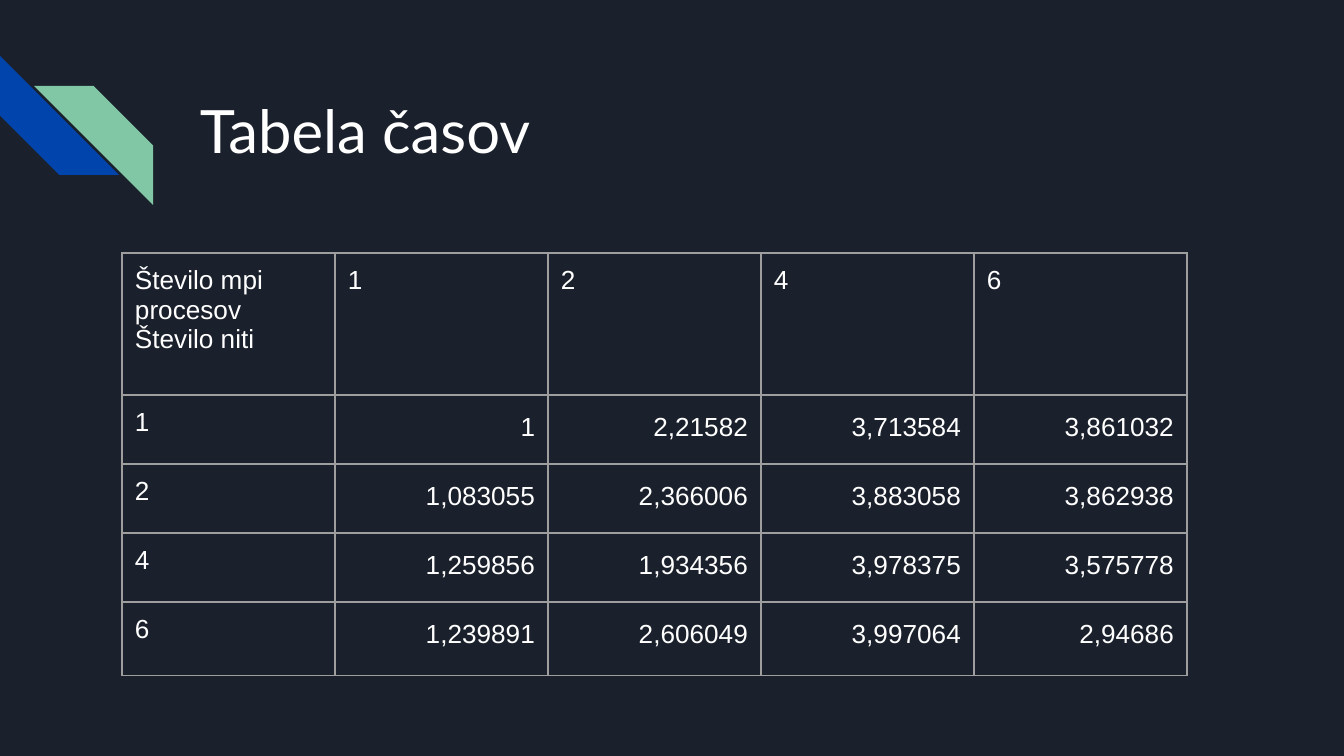
from lxml import etree
from pptx import Presentation
from pptx.dml.color import RGBColor
from pptx.enum.shapes import MSO_SHAPE
from pptx.enum.text import MSO_ANCHOR, PP_ALIGN
from pptx.oxml.ns import qn
from pptx.util import Pt

STRIPE = MSO_SHAPE.DIAGONAL_STRIPE
TOP = MSO_ANCHOR.TOP
LEFT, RIGHT = PP_ALIGN.LEFT, PP_ALIGN.RIGHT

EMU_PER_PX = 914400 / 134.4
INSET = 13
WHITE = "FFFFFF"
GRID = "9E9E9E"
COLUMN_WIDTH = 213
ROW_HEIGHTS = [142, 69, 69, 69, 74]
TIMES = [
    ["Število mpi procesov\nŠtevilo niti", "1", "2", "4", "6"],
    ["1", "1", "2,21582", "3,713584", "3,861032"],
    ["2", "1,083055", "2,366006", "3,883058", "3,862938"],
    ["4", "1,259856", "1,934356", "3,978375", "3,575778"],
    ["6", "1,239891", "2,606049", "3,997064", "2,94686"],
]


def px(length):
    return round(length * EMU_PER_PX)


def color(value):
    return RGBColor.from_string(value)


def style_paragraph(paragraph, font_name, size, spacing, align=LEFT):
    paragraph.font.name = font_name
    paragraph.font.size = Pt(size)
    paragraph.font.color.rgb = color(WHITE)
    paragraph.line_spacing = spacing
    paragraph.alignment = align


def set_margins(holder):
    holder.margin_left = holder.margin_right = px(INSET)
    holder.margin_top = holder.margin_bottom = px(INSET)
    holder.vertical_anchor = TOP


def add_stripe(slide, left, top, size, rotation, fill):
    stripe = slide.shapes.add_shape(STRIPE, px(left), px(top), px(size), px(size))
    stripe.adjustments[0] = 0.5
    stripe.rotation = rotation
    stripe.shadow.inherit = False
    stripe.fill.solid()
    stripe.fill.fore_color.rgb = color(fill)
    stripe.line.fill.background()


def add_title(slide, text, left, top, width, height):
    frame = slide.shapes.add_textbox(px(left), px(top), px(width), px(height)).text_frame
    frame.word_wrap = True
    set_margins(frame)
    frame.text = text
    heading = frame.paragraphs[0]
    style_paragraph(heading, "Lato", 32, 1.15)
    heading.space_after = Pt(12)


def add_borders(cell):
    properties = cell._tc.get_or_add_tcPr()
    for side in ("a:lnL", "a:lnR", "a:lnT", "a:lnB"):
        border = etree.SubElement(properties, qn(side), w=str(Pt(0.75)))
        fill = etree.SubElement(border, qn("a:solidFill"))
        etree.SubElement(fill, qn("a:srgbClr"), val=GRID)


def fill_cell(cell, text, is_time):
    cell.text = text
    set_margins(cell)
    add_borders(cell)
    cell.fill.background()
    for paragraph in cell.text_frame.paragraphs:
        if is_time:
            style_paragraph(paragraph, "Arial", 14, 1.15, RIGHT)
        else:
            style_paragraph(paragraph, "Arial", 14, 1.0)


def add_times_table(slide, left, top):
    columns = len(TIMES[0])
    table = slide.shapes.add_table(
        len(TIMES), columns, px(left), px(top),
        px(COLUMN_WIDTH * columns), px(sum(ROW_HEIGHTS)),
    ).table
    table.first_row = False
    table.horz_banding = False
    for column in table.columns:
        column.width = px(COLUMN_WIDTH)
    for r, (height, values) in enumerate(zip(ROW_HEIGHTS, TIMES)):
        table.rows[r].height = px(height)
        for c, value in enumerate(values):
            fill_cell(table.cell(r, c), value, r > 0 and c > 0)


def main():
    presentation = Presentation()
    presentation.slide_width = px(1344)
    presentation.slide_height = px(756)
    slide = presentation.slides.add_slide(presentation.slide_layouts[6])
    slide.background.fill.solid()
    slide.background.fill.fore_color.rgb = color("1B212C")
    add_stripe(slide, 0, 56, 119, 270, "0145AC")
    add_stripe(slide, 34, 86, 119, 90, "82C7A5")
    add_title(slide, "Tabela časov", 187, 70, 1070, 128)
    add_times_table(slide, 122, 253)
    presentation.save("out.pptx")


if __name__ == "__main__":
    main()
